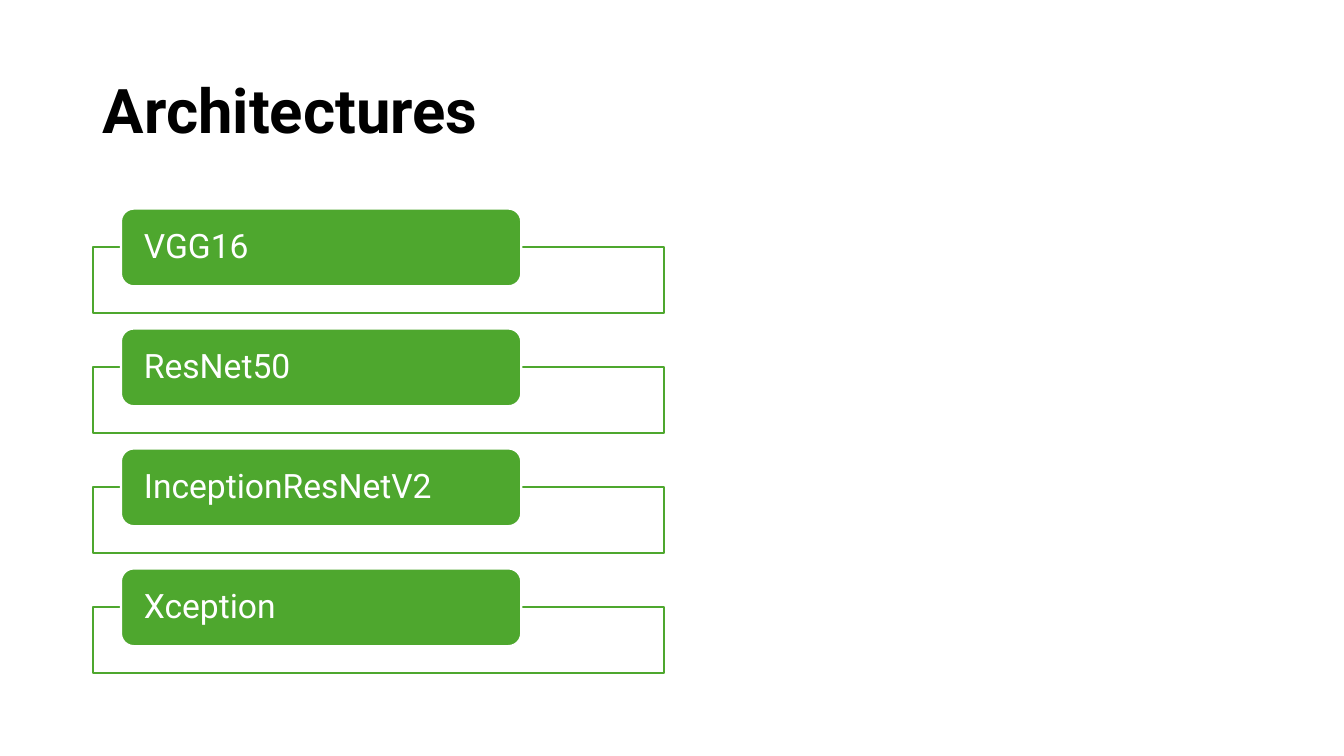
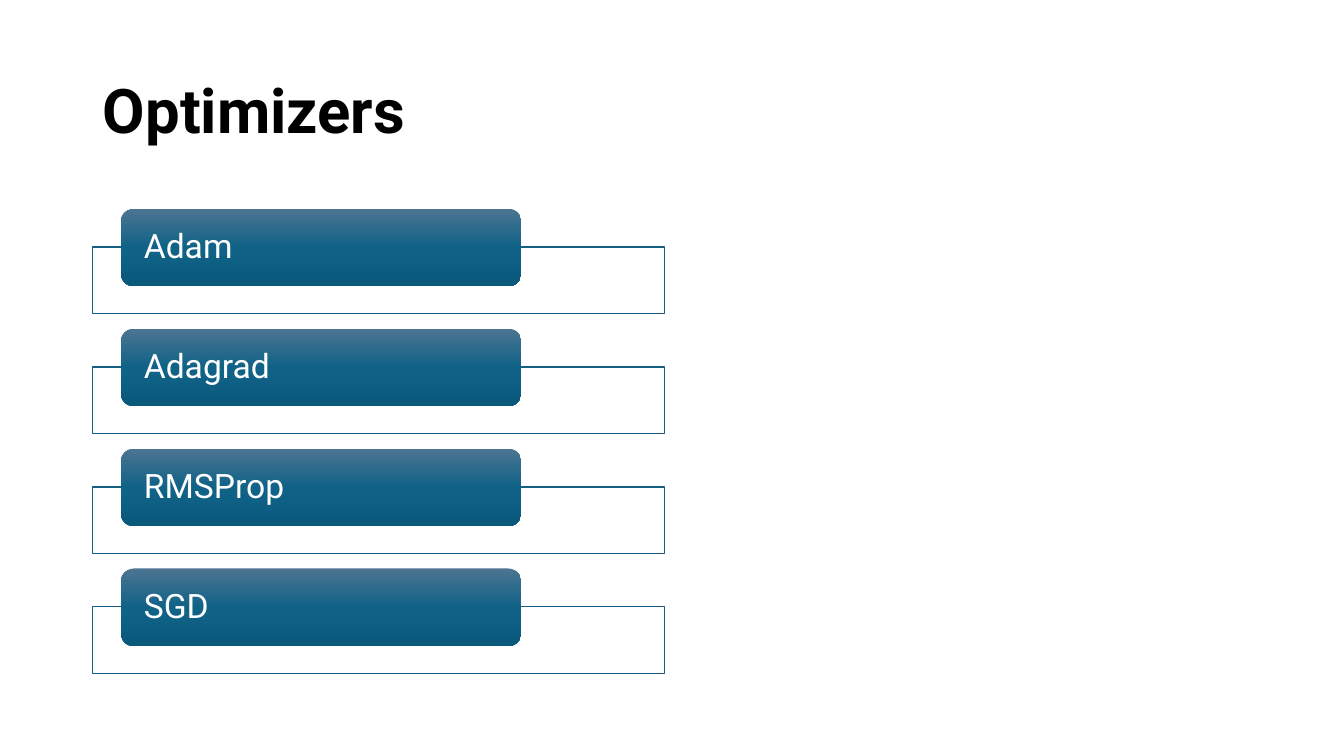
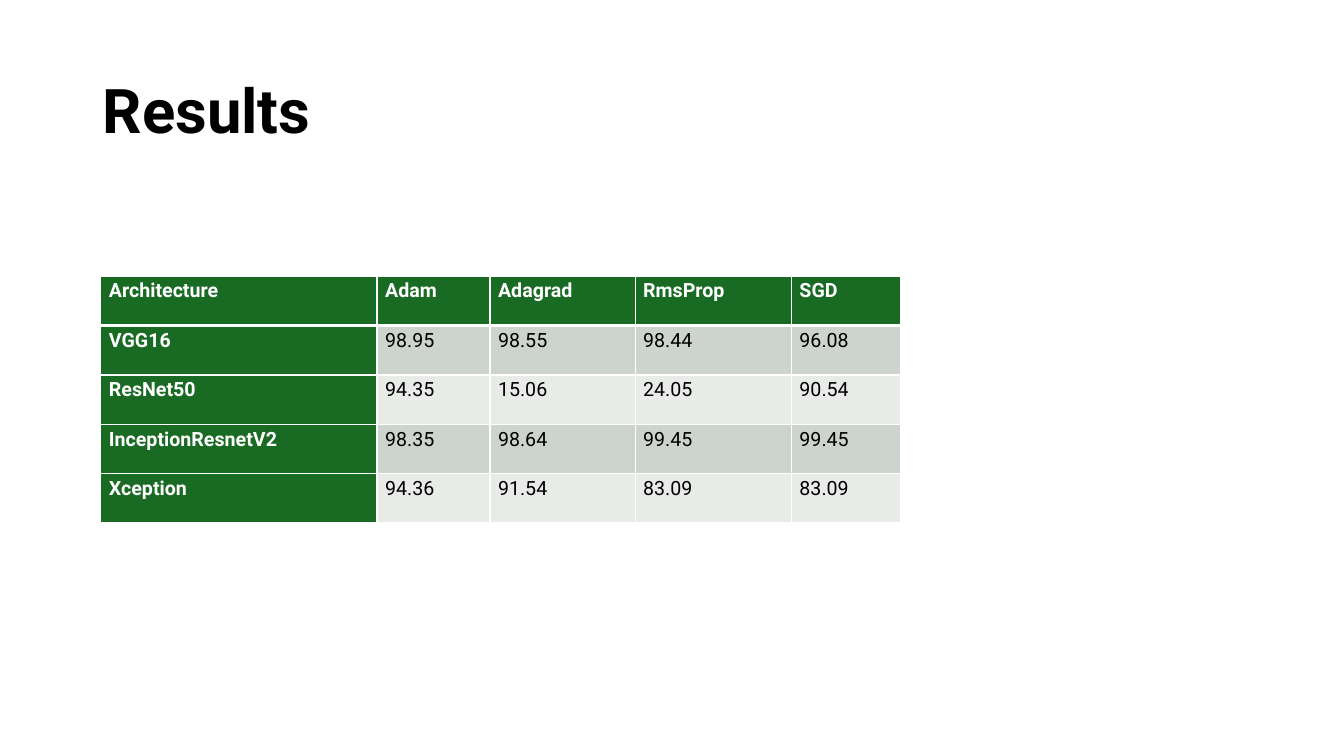
from copy import deepcopy

from lxml.etree import SubElement
from pptx import Presentation
from pptx.dml.color import RGBColor
from pptx.enum.shapes import MSO_SHAPE
from pptx.enum.text import MSO_ANCHOR, MSO_AUTO_SIZE, PP_ALIGN
from pptx.oxml.ns import qn
from pptx.util import Pt

PX = 9144  # EMU per px, 100 px to the inch
FONT = "Roboto"
WHITE = RGBColor(0xFF, 0xFF, 0xFF)
BLACK = RGBColor(0x00, 0x00, 0x00)
LIME = RGBColor(0x4E, 0xA7, 0x2E)
TEAL = RGBColor(0x15, 0x60, 0x82)
SHINE = (RGBColor(0x4C, 0x75, 0x91), RGBColor(0x10, 0x62, 0x87),
         RGBColor(0x09, 0x59, 0x7D))
GREEN = RGBColor(0x19, 0x6B, 0x24)
BANDS = (RGBColor(0xCC, 0xD4, 0xCD), RGBColor(0xE8, 0xEB, 0xE8))

SCORES = [
    ("Architecture", "Adam", "Adagrad", "RmsProp", "SGD"),
    ("VGG16", "98.95", "98.55", "98.44", "96.08"),
    ("ResNet50", "94.35", "15.06", "24.05", "90.54"),
    ("InceptionResnetV2", "98.35", "98.64", "99.45", "99.45"),
    ("Xception", "94.36", "91.54", "83.09", "83.09"),
]


def px(*vals):
    return [val * PX for val in vals]


def write(frame, text, size=24, color=WHITE, bold=False,
          align=PP_ALIGN.LEFT, lead=0.9, after=0):
    para = frame.paragraphs[0]
    para.alignment = align
    para.line_spacing = lead
    para.space_after = Pt(after)
    run = para.add_run()
    run.text = text
    font = run.font
    font.name, font.size, font.bold = FONT, Pt(size), bold
    font.color.rgb = color


def shade(fill, colors):
    """Fill from top to bottom with evenly spaced colours."""
    fill.gradient()
    fill.gradient_angle = 270
    first = fill.gradient_stops[0]._gs
    for _ in colors[2:]:
        first.addnext(deepcopy(first))
    for i, (stop, color) in enumerate(zip(fill.gradient_stops, colors)):
        stop.color.rgb = color
        stop.position = i / (len(colors) - 1)


def edge(cell, side, width):
    """Draw a white border; side is L, R, T or B."""
    line = SubElement(cell._tc.get_or_add_tcPr(), qn("a:ln" + side),
                      w=str(Pt(width)))
    solid = SubElement(line, qn("a:solidFill"))
    SubElement(solid, qn("a:srgbClr"), val=str(WHITE))


class Deck:
    def __init__(self):
        self.show = Presentation()
        self.show.slide_width, self.show.slide_height = px(1333, 750)
        self.slide = None

    def page(self, title):
        self.slide = self.show.slides.add_slide(self.show.slide_layouts[5])
        head = self.slide.shapes.title
        head.left, head.top, head.width, head.height = px(92, 40, 1150, 145)
        frame = head.text_frame
        frame.auto_size = MSO_AUTO_SIZE.NONE
        frame.vertical_anchor = MSO_ANCHOR.MIDDLE
        write(frame, title, size=44, color=BLACK, bold=True)

    def shape(self, kind, box, line=None, width=1):
        item = self.slide.shapes.add_shape(kind, *px(*box))
        item.shadow.inherit = False
        if line is None:
            item.line.fill.background()
        else:
            item.line.color.rgb = line
            item.line.width = Pt(width)
        return item

    def frame(self, top, color, width):
        item = self.shape(MSO_SHAPE.RECTANGLE, (92, top, 567, 66), color, width)
        item.fill.solid()
        item.fill.fore_color.rgb = WHITE
        tint = item.fill._xPr.find(".//" + qn("a:srgbClr"))
        SubElement(tint, qn("a:alpha"), val="90000")

    def label(self, top, text, colors, line):
        item = self.shape(MSO_SHAPE.ROUNDED_RECTANGLE, (120, top, 397, 77),
                          line, 1.5)
        if len(colors) > 1:
            shade(item.fill, colors)
        else:
            item.fill.solid()
            item.fill.fore_color.rgb = colors[0]
        text_box = item.text_frame
        text_box.word_wrap = True
        text_box.vertical_anchor = MSO_ANCHOR.MIDDLE
        text_box.margin_left = text_box.margin_right = 19 * PX
        text_box.margin_top = text_box.margin_bottom = 0
        write(text_box, text)

    def stack(self, names, color, width, colors, line=None):
        """Place framed labels one below the other."""
        for i, name in enumerate(names):
            top = 207 + 119 * i
            self.frame(top + 38, color, width)
            self.label(top, name, colors, line)

    def table(self, rows, cols, left, top, high):
        grid = self.slide.shapes.add_table(
            len(rows), len(cols),
            *px(left, top, sum(cols), high * len(rows))).table
        for col, wide in zip(grid.columns, cols):
            col.width = wide * PX
        for r, row in enumerate(rows):
            grid.rows[r].height = high * PX
            for c, text in enumerate(row):
                self.cell(grid.cell(r, c), text, r, c)

    def cell(self, cell, text, r, c):
        head = r == 0 or c == 0
        widths = {"L": 1, "R": 1, "T": 3 if r == 1 else 1,
                  "B": 3 if r == 0 else 1}
        for side, width in widths.items():
            edge(cell, side, width)
        cell.fill.solid()
        cell.fill.fore_color.rgb = GREEN if head else BANDS[(r - 1) % 2]
        cell.margin_left = cell.margin_right = 8 * PX
        cell.margin_top = cell.margin_bottom = 0
        write(cell.text_frame, text, size=14, color=WHITE if head else BLACK,
              bold=head, align=PP_ALIGN.JUSTIFY, lead=1.15, after=12)


def main():
    deck = Deck()
    deck.page("Architectures")
    deck.stack(("VGG16", "ResNet50", "InceptionResNetV2", "Xception"),
               LIME, 1.5, (LIME,), WHITE)
    deck.page("Optimizers")
    deck.stack(("Adam", "Adagrad", "RMSProp", "SGD"), TEAL, 1, SHINE)
    deck.page("Results")
    deck.table(SCORES, (274, 112, 144, 155, 108), 100, 274, 49)
    deck.show.save("out.pptx")


if __name__ == "__main__":
    main()
